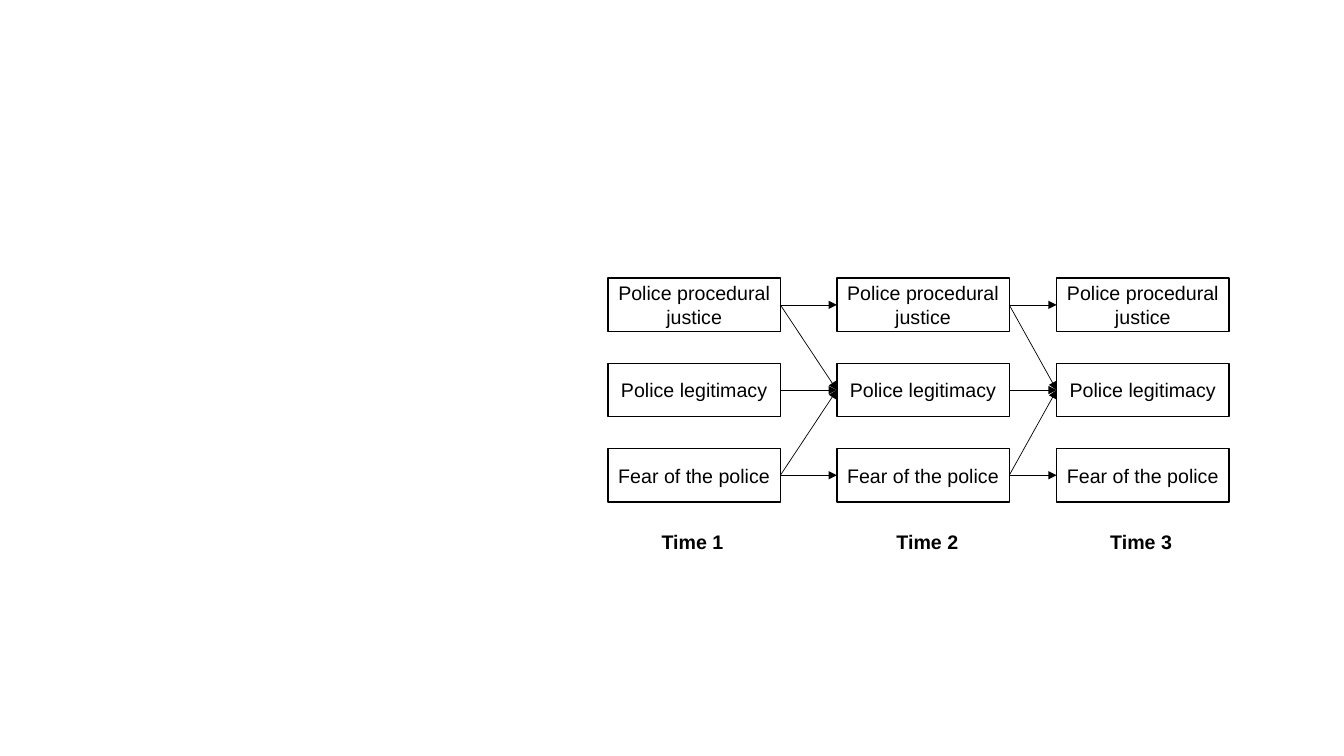
from lxml import etree
from pptx import Presentation
from pptx import util as u
from pptx.dml.color import RGBColor
from pptx.enum import shapes, text
from pptx.oxml.ns import qn

CONCEPTS = ["Police procedural justice", "Police legitimacy", "Fear of the police"]
TIMES = ["Time 1", "Time 2", "Time 3"]
COLUMN_OFFSETS = [0, 2.27, 4.45]
LABEL_CENTERS = [0.74, 3.07, 5.19]
ROW_STEP = 0.845
BOX_WIDTH, BOX_HEIGHT = 1.71, 0.53
LEGITIMACY = 1
RIGHT_SIDE, LEFT_SIDE = 3, 1
FONT = {"name": "Arial", "size": u.Pt(14)}


def color(hex_string):
    return RGBColor.from_string(hex_string)


def add_text(paragraph, content, **extra):
    run = paragraph.add_run()
    run.text = content
    for name, value in {**FONT, **extra}.items():
        setattr(run.font, name, value)
    run.font.color.rgb = color("000000")


def add_box(slide, left, top, label):
    box = slide.shapes.add_shape(
        shapes.MSO_SHAPE.RECTANGLE,
        u.Inches(left), u.Inches(top), u.Inches(BOX_WIDTH), u.Inches(BOX_HEIGHT))
    box.shadow.inherit = False
    box.fill.background()
    box.line.color.rgb = color("000000")
    box.line.width = u.Pt(1)
    frame = box.text_frame
    frame.word_wrap = True
    frame.vertical_anchor = text.MSO_ANCHOR.MIDDLE
    frame.paragraphs[0].alignment = text.PP_ALIGN.CENTER
    add_text(frame.paragraphs[0], label)
    return box


def add_arrow(slide, source, target):
    arrow = slide.shapes.add_connector(shapes.MSO_CONNECTOR.STRAIGHT, 0, 0, 0, 0)
    arrow.begin_connect(source, RIGHT_SIDE)
    arrow.end_connect(target, LEFT_SIDE)
    arrow.line.color.rgb = color("000000")
    arrow.line.width = u.Pt(0.5)
    etree.SubElement(arrow.line._get_or_add_ln(), qn("a:tailEnd"), type="triangle")
    etree.SubElement(arrow._element.spPr, qn("a:effectLst"))


def add_panel_model(slide, left, top):
    # Boxes: one column per time, one row per concept
    columns = [
        [add_box(slide, left + offset, top + row * ROW_STEP, concept)
         for row, concept in enumerate(CONCEPTS)]
        for offset in COLUMN_OFFSETS]

    # Arrows: each concept to itself, and all concepts to legitimacy
    for sources, targets in zip(columns, columns[1:]):
        for row, source in enumerate(sources):
            for target_row in sorted({row, LEGITIMACY}):
                add_arrow(slide, source, targets[target_row])


def add_time_labels(slide, left, top, width, height):
    label_box = slide.shapes.add_textbox(
        u.Inches(left), u.Inches(top), u.Inches(width), u.Inches(height))
    label_box.text_frame.word_wrap = True
    paragraph = label_box.text_frame.paragraphs[0]
    add_text(paragraph, "".join("\t" + time for time in TIMES), bold=True)

    # Centred tab stops, one per time
    tab_list = etree.SubElement(paragraph._p.get_or_add_pPr(), qn("a:tabLst"))
    for center in LABEL_CENTERS:
        etree.SubElement(tab_list, qn("a:tab"), pos=str(u.Inches(center)), algn="ctr")


def main():
    presentation = Presentation()
    presentation.slide_width = u.Inches(13.33)
    presentation.slide_height = u.Inches(7.5)
    slide = presentation.slides.add_slide(presentation.slide_layouts[6])
    add_panel_model(slide, 6.03, 2.76)
    add_time_labels(slide, 6.03, 5.21, 5.74, 0.34)
    presentation.save("out.pptx")


if __name__ == "__main__":
    main()
